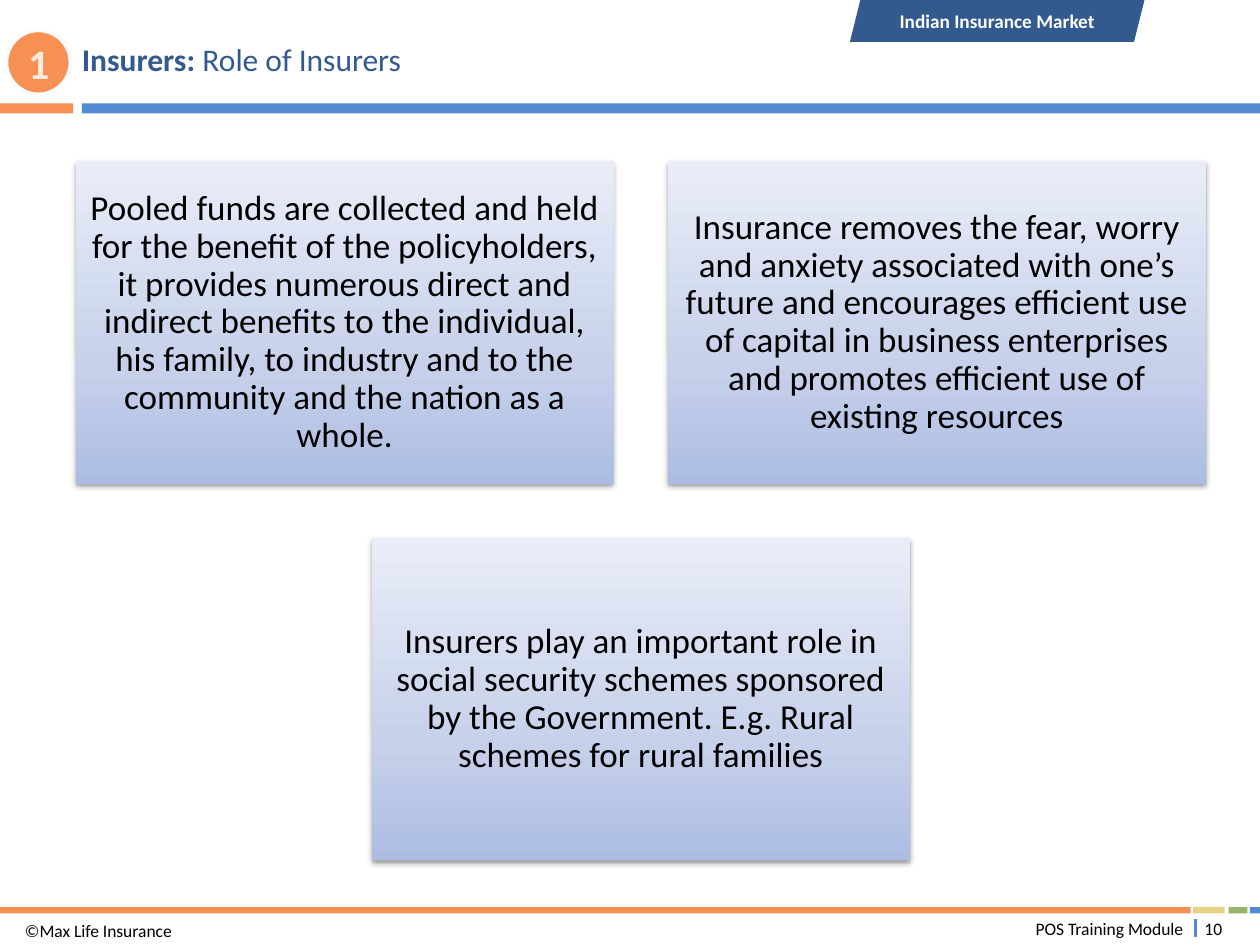
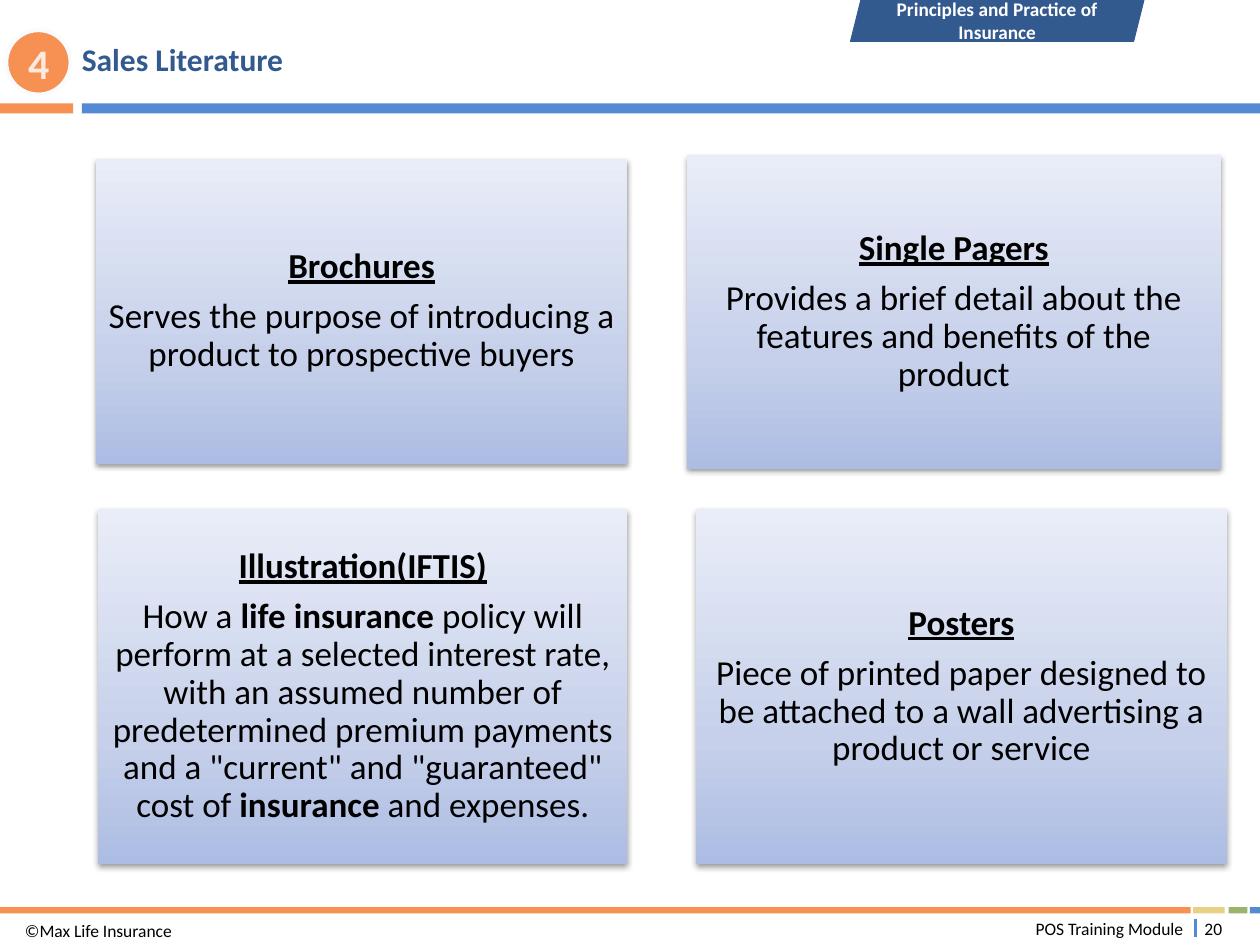
import copy

import lxml.etree
import pptx
import pptx.dml.color
import pptx.enum.shapes
import pptx.enum.text
import pptx.oxml.ns
import pptx.util

Inches = pptx.util.Inches
Pt = pptx.util.Pt
SHAPES = pptx.enum.shapes.MSO_SHAPE
ALIGN = pptx.enum.text.PP_ALIGN
ANCHOR = pptx.enum.text.MSO_ANCHOR
qn = pptx.oxml.ns.qn

FONT = "Calibri"
COLORS = {
    "blue": "528BD4",
    "navy": "335A8F",
    "orange": "F69053",
    "yellow": "E7D284",
    "green": "9BB469",
    "ring": "F9FBFD",
    "peach": "FDE9DD",
    "white": "FFFFFF",
    "black": "000000",
    "card_bottom": "ACBCE3",
    "card_middle": "C6D0EA",
    "card_top": "E9EDF8",
}
CARD_GRADIENT = [(0, "card_bottom"), (0.35, "card_middle"), (1, "card_top")]

BANDS = [
    ("blue", 0.65, 0.82, 9.35, 0.08),
    ("orange", 0, 0.82, 0.58, 0.08),
    ("orange", 0, 7.2, 9.45, 0.05),
    ("yellow", 9.47, 7.2, 0.25, 0.05),
    ("green", 9.75, 7.2, 0.15, 0.05),
    ("blue", 9.92, 7.2, 0.08, 0.05),
]
COPYRIGHT = "©Max Life Insurance"
MODULE = "POS Training Module"

CARD_W, CARD_H, CARD_GAP = 4.27, 2.56, 0.43
GRID_LEFT, GRID_TOP = 0.6, 1.28


def pyramid_box(column, row):
    return (GRID_LEFT + column * (CARD_W + CARD_GAP),
            GRID_TOP + row * (CARD_H + CARD_GAP), CARD_W, CARD_H)


SLIDES = [
    {
        "number": "1",
        "title": [("Insurers: ", True), ("Role of Insurers", False)],
        "chapter": "Indian Insurance Market",
        "page": "10",
        "cards": [
            (pyramid_box(0, 0), None, [(
                "Pooled funds are collected and held for the benefit of the "
                "policyholders, it provides numerous direct and indirect benefits "
                "to the individual, his family, to industry and to the community "
                "and the nation as a whole.", False)]),
            (pyramid_box(1, 0), None, [(
                "Insurance removes the fear, worry and anxiety associated with "
                "one’s future and encourages efficient use of capital in business "
                "enterprises and promotes efficient use of existing resources", False)]),
            (pyramid_box(0.5, 1), None, [(
                "Insurers play an important role in social security schemes "
                "sponsored by the Government. E.g. Rural schemes for rural "
                "families", False)]),
        ],
    },
    {
        "number": "4",
        "title": [("Sales Literature", True)],
        "chapter": "Principles and Practice of Insurance",
        "page": "20",
        "cards": [
            ((0.76, 1.26, 4.22, 2.42), "Brochures", [(
                "Serves the purpose of introducing a product to prospective "
                "buyers", False)]),
            ((5.45, 1.23, 4.24, 2.49), "Single Pagers", [(
                "Provides a brief detail about the features and benefits of the "
                "product", False)]),
            ((0.78, 4.04, 4.2, 2.82), "Illustration(IFTIS)", [
                ("How a ", False),
                ("life insurance", True),
                (" policy will perform at a selected interest rate, with an "
                 "assumed number of predetermined premium payments and a "
                 "\"current\" and \"guaranteed\" cost of ", False),
                ("insurance", True),
                (" and expenses.", False)]),
            ((5.52, 4.04, 4.22, 2.82), "Posters", [(
                "Piece of printed paper designed to be attached to a wall "
                "advertising a product or service", False)]),
        ],
    },
]


def rgb(color):
    return pptx.dml.color.RGBColor.from_string(COLORS[color])


def add_block(slide, kind, box, fill=None, line=None, line_width=1):
    block = slide.shapes.add_shape(kind, *map(Inches, box))
    block.shadow.inherit = False
    if fill:
        block.fill.solid()
        block.fill.fore_color.rgb = rgb(fill)
    if line:
        block.line.color.rgb = rgb(line)
        block.line.width = Pt(line_width)
    else:
        block.line.fill.background()
    return block


def set_frame(shape, inset=None, anchor=ANCHOR.MIDDLE):
    frame = shape.text_frame
    frame.word_wrap = True
    frame.vertical_anchor = anchor
    if inset is not None:
        frame.margin_left = frame.margin_right = Inches(inset)
        frame.margin_top = frame.margin_bottom = Inches(inset)
    return frame


def write(paragraph, runs, size, color, align=ALIGN.CENTER):
    paragraph.alignment = align
    font = paragraph.font
    font.name, font.size = FONT, Pt(size)
    font.color.rgb = rgb(color)
    weights = {bold for _, bold in runs}
    if len(weights) == 1:
        font.bold = weights.pop()
    for text, bold in runs:
        run = paragraph.add_run()
        run.text = text
        if font.bold is None:
            run.font.bold = bold


def add_label(slide, box, runs, size, color, align, inset=None, anchor=ANCHOR.MIDDLE):
    label = slide.shapes.add_textbox(*map(Inches, box))
    write(set_frame(label, inset, anchor).paragraphs[0], runs, size, color, align)


def fill_gradient(card):
    card.fill.gradient()
    card.fill.gradient_angle = 90
    stops = card._element.spPr.find(qn("a:gradFill")).find(qn("a:gsLst"))
    stops.insert(1, copy.deepcopy(stops[0]))
    for stop, (position, color) in zip(card.fill.gradient_stops, CARD_GRADIENT):
        stop.position = position
        stop.color.rgb = rgb(color)


def cast_shadow(card):
    effects = card._element.spPr.find(qn("a:effectLst"))
    shadow = lxml.etree.SubElement(
        effects, qn("a:outerShdw"), blurRad=str(Pt(3.1)), dist=str(Pt(1.6)),
        dir="5400000", rotWithShape="0")
    tint = lxml.etree.SubElement(shadow, qn("a:srgbClr"), val=COLORS["black"])
    lxml.etree.SubElement(tint, qn("a:alpha"), val="38000")


def add_card(slide, box, heading, body):
    card = add_block(slide, SHAPES.RECTANGLE, box)
    fill_gradient(card)
    cast_shadow(card)
    frame = set_frame(card, 0.08)
    paragraph = frame.paragraphs[0]
    if heading:
        write(paragraph, [(heading, True)], 20, "black")
        paragraph.font.underline = True
        paragraph = frame.add_paragraph()
    write(paragraph, body, 20, "black")
    for paragraph in frame.paragraphs:
        paragraph.line_spacing = 0.9
        paragraph.space_after = Pt(7)


def add_footer(slide, page):
    divider = slide.shapes.add_connector(
        pptx.enum.shapes.MSO_CONNECTOR.STRAIGHT,
        Inches(9.49), Inches(7.29), Inches(9.49), Inches(7.44))
    divider.line.color.rgb = rgb("blue")
    divider.line.width = Pt(1.5)
    lxml.etree.SubElement(divider._element.spPr, qn("a:effectLst"))
    add_label(slide, (9.48, 7.27, 0.3, 0.2), [(page, False)], 10, "black",
              ALIGN.CENTER, 0.05)
    add_label(slide, (7.31, 7.27, 2.13, 0.2), [(MODULE, False)], 10, "black",
              ALIGN.RIGHT, 0.05)
    add_label(slide, (0.1, 7.25, 3.13, 0.23), [(COPYRIGHT, False)], 10, "black",
              ALIGN.LEFT, anchor=ANCHOR.TOP)


def add_header(slide, content):
    add_label(slide, (0.65, 0.11, 8.6, 0.71), content["title"], 18, "navy",
              ALIGN.LEFT, 0)
    badge = add_block(slide, SHAPES.OVAL, (0.05, 0.24, 0.51, 0.51),
                      "orange", "ring", 2.25)
    write(set_frame(badge).paragraphs[0], [(content["number"], True)], 24, "peach")
    chapter = add_block(slide, SHAPES.PARALLELOGRAM, (6.75, 0, 2.33, 0.33),
                        "navy", "navy", 0.5)
    write(set_frame(chapter, 0.06).paragraphs[0], [(content["chapter"], True)],
          11, "white")


def main():
    deck = pptx.Presentation()
    deck.slide_width, deck.slide_height = Inches(10), Inches(7.5)
    for content in SLIDES:
        slide = deck.slides.add_slide(deck.slide_layouts[6])
        for color, *box in BANDS:
            add_block(slide, SHAPES.RECTANGLE, box, color)
        add_header(slide, content)
        for card in content["cards"]:
            add_card(slide, *card)
        add_footer(slide, content["page"])
    deck.save("out.pptx")


if __name__ == "__main__":
    main()
